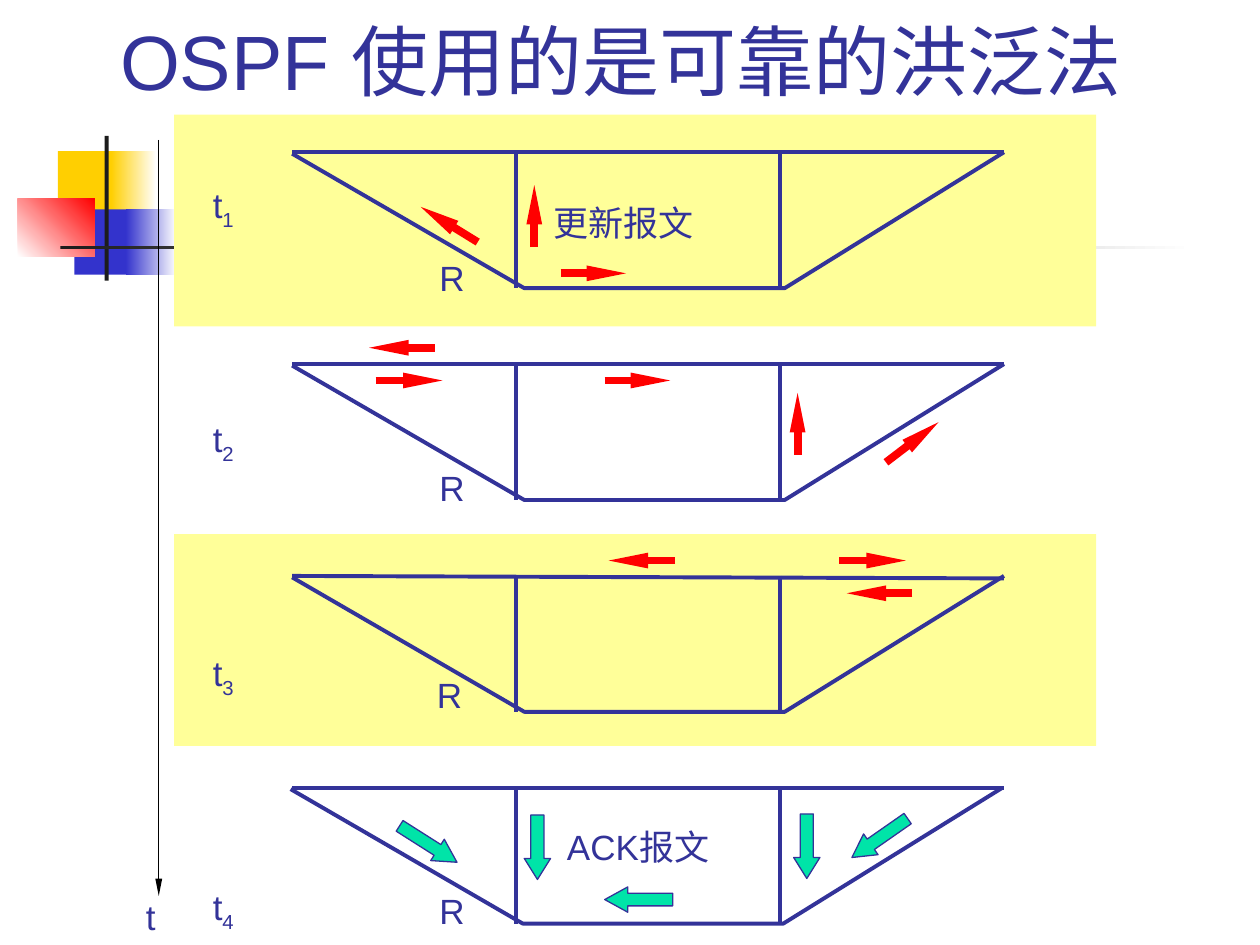
from pptx import Presentation
from pptx.dml.color import RGBColor
from pptx.enum.shapes import MSO_CONNECTOR, MSO_SHAPE
from pptx.enum.text import MSO_ANCHOR, PP_ALIGN
from pptx.oxml.ns import qn
from pptx.util import Cm, Pt
from lxml import etree

RECT = MSO_SHAPE.RECTANGLE
DOWN = MSO_SHAPE.DOWN_ARROW
STRAIGHT = MSO_CONNECTOR.STRAIGHT
HUES = {
    "ink": "333399", "band": "FFFF99", "red": "FF0000", "green": "00E4A8",
    "gold": "FFCF01", "blue": "3333CC", "dark": "1C1C1C",
    "white": "FFFFFF", "black": "000000",
}
TOP, STEP, DEPTH = 3.07, 4.27, 2.74  # network rows, in cm

# Corner art: left, top, width, height, colours, gradient angle
ART = [
    (1.17, 3.05, 1.22, 1.32, ["gold"], 0),
    (2.24, 3.05, 0.91, 1.32, ["gold", "white"], 0),
    (1.5, 4.22, 1.17, 1.32, ["blue"], 0),
    (2.54, 4.22, 1.02, 1.32, ["blue", "white"], 0),
    (0.36, 4.01, 1.55, 1.17, ["white", "red"], 45),
    (2.11, 2.74, 0.08, 2.92, ["dark"], 0),
    (1.22, 4.95, 22.86, 0.08, ["dark", "white"], 0),
]
# Update messages: x1, y1, x2, y2
UPDATES = [
    (11.3, 5.51, 12.62, 5.51), (9.63, 4.88, 8.48, 4.17),
    (10.77, 4.98, 10.77, 3.73),
    (17.86, 9.32, 18.92, 8.51), (16.08, 9.17, 16.08, 7.92),
    (8.76, 7.01, 7.44, 7.01), (12.19, 7.67, 13.51, 7.67),
    (7.57, 7.67, 8.92, 7.67),
    (13.61, 11.3, 12.27, 11.3), (16.92, 11.3, 18.26, 11.3),
    (18.39, 11.96, 17.07, 11.96),
]
# Acknowledgements: left, top, width, height, turn, head ratio
ACKS = [
    (10.57, 16.43, 0.53, 1.3, 0, 0.8), (16, 16.41, 0.53, 1.3, 0, 0.8),
    (12.62, 17.45, 0.51, 1.37, 90, 0.91),
    (17.48, 16.21, 0.51, 1.37, 55.1, 0.91),
    (8.38, 16.33, 0.51, 1.37, 302.4, 0.91),
]
# Labels: text, left, top, width, height, wrap
LABELS = [
    ("更新报文", 10.9, 3.94, 3.33, 1.09, False),
    ("t", 2.69, 17.93, 0.71, 1.09, False),
    ("ACK报文", 11.18, 16.51, 3.38, 1.12, True),
    ("R", 8.61, 5.05, 1.02, 1.09, False),
    ("R", 8.61, 9.27, 1.02, 1.09, False),
    ("R", 8.56, 13.46, 1.02, 1.09, False),
    ("R", 8.61, 17.81, 1.02, 1.09, False),
]


def rgb(name):
    return RGBColor.from_string(HUES[name])


def style(font, size):
    font.name, font.size = "Arial", Pt(size)
    font.color.rgb = rgb("ink")


def add_rect(slide, x, y, w, h, hues, angle=0):
    box = slide.shapes.add_shape(RECT, Cm(x), Cm(y), Cm(w), Cm(h))
    box.shadow.inherit = False
    box.line.fill.background()
    if len(hues) == 1:
        box.fill.solid()
        box.fill.fore_color.rgb = rgb(hues[0])
        return
    box.fill.gradient()
    box.fill.gradient_angle = angle
    for stop, hue, pos in zip(box.fill.gradient_stops, hues, (0, 1)):
        stop.color.rgb, stop.position = rgb(hue), pos


def add_line(slide, x1, y1, x2, y2, hue="ink", width=2.25, head=False):
    line = slide.shapes.add_connector(STRAIGHT, Cm(x1), Cm(y1), Cm(x2), Cm(y2))
    line.line.color.rgb = rgb(hue)
    line.line.width = Pt(width)
    if head:
        tail = etree.SubElement(line.line._get_or_add_ln(), qn("a:tailEnd"))
        for key, val in (("type", "triangle"), ("w", "sm"), ("len", "lg")):
            tail.set(key, val)
    etree.SubElement(line._element.spPr, qn("a:effectLst"))


def add_net(slide, y, shift=0, sag=0):
    base = y + DEPTH
    add_line(slide, 5.89, y, 20.24, y + sag)
    pen = slide.shapes.build_freeform(Cm(5.89 + shift), Cm(y + 0.03))
    pts = [(10.57, base), (15.82, base), (20.24, y)]
    pen.add_line_segments([(Cm(px + shift), Cm(py)) for px, py in pts], close=False)
    hull = pen.convert_to_shape()
    hull.shadow.inherit = False
    hull.fill.background()
    hull.line.color.rgb = rgb("ink")
    hull.line.width = Pt(2.25)
    for x in (10.41, 15.72):
        add_line(slide, x, y, x, base)


def add_ack(slide, x, y, w, h, turn, ratio):
    ack = slide.shapes.add_shape(DOWN, Cm(x), Cm(y), Cm(w), Cm(h))
    ack.shadow.inherit = False
    ack.rotation = turn
    ack.adjustments[1] = ratio
    ack.fill.solid()
    ack.fill.fore_color.rgb = rgb("green")
    ack.line.color.rgb = rgb("ink")
    ack.line.width = Pt(0.75)


def add_label(slide, text, x, y, w, h, wrap):
    frame = slide.shapes.add_textbox(Cm(x), Cm(y), Cm(w), Cm(h)).text_frame
    frame.word_wrap = wrap
    frame.text = text
    style(frame.paragraphs[0].runs[0].font, 20)


def add_times(slide):
    frame = slide.shapes.add_textbox(Cm(4.04), Cm(3.53), Cm(0.97), Cm(14.5)).text_frame
    frame.word_wrap = False
    for i in range(4):
        para = frame.add_paragraph() if i else frame.paragraphs[0]
        para.line_spacing = 1.05
        if i:
            para.space_before = Pt(105)
        for text in ("t", str(i + 1)):
            run = para.add_run()
            run.text = text
            style(run.font, 20)
        run._r.get_or_add_rPr().set("baseline", "-25000")


def set_title(slide, text):
    title = slide.shapes.title
    title.left, title.top = Cm(1.7), Cm(0.13)
    title.width, title.height = Cm(21.64), Cm(2.13)
    frame = title.text_frame
    frame.text = text
    frame.vertical_anchor = MSO_ANCHOR.BOTTOM
    para = frame.paragraphs[0]
    para.alignment = PP_ALIGN.CENTER
    style(para.runs[0].font, 44)


def main():
    deck = Presentation()
    deck.slide_width, deck.slide_height = Cm(25.4), Cm(19.05)
    slide = deck.slides.add_slide(deck.slide_layouts[5])
    set_title(slide, "OSPF 使用的是可靠的洪泛法")

    # Corner art and row bands
    for item in ART:
        add_rect(slide, *item)
    for y in (2.31, 10.77):
        add_rect(slide, 3.51, y, 18.59, 4.27, ["band"])

    # The same network at four times
    for i, (shift, sag) in enumerate([(0, 0), (0, 0), (0, 0.05), (-0.03, 0)]):
        add_net(slide, TOP + i * STEP, shift, sag)

    # Messages
    for ends in UPDATES:
        add_line(slide, *ends, "red", 4.5, True)
    for item in ACKS:
        add_ack(slide, *item)

    # Time axis and labels
    add_line(slide, 3.2, 2.82, 3.2, 18.06, "black", 0.75, True)
    for item in LABELS:
        add_label(slide, *item)
    add_times(slide)
    deck.save("out.pptx")


if __name__ == "__main__":
    main()
